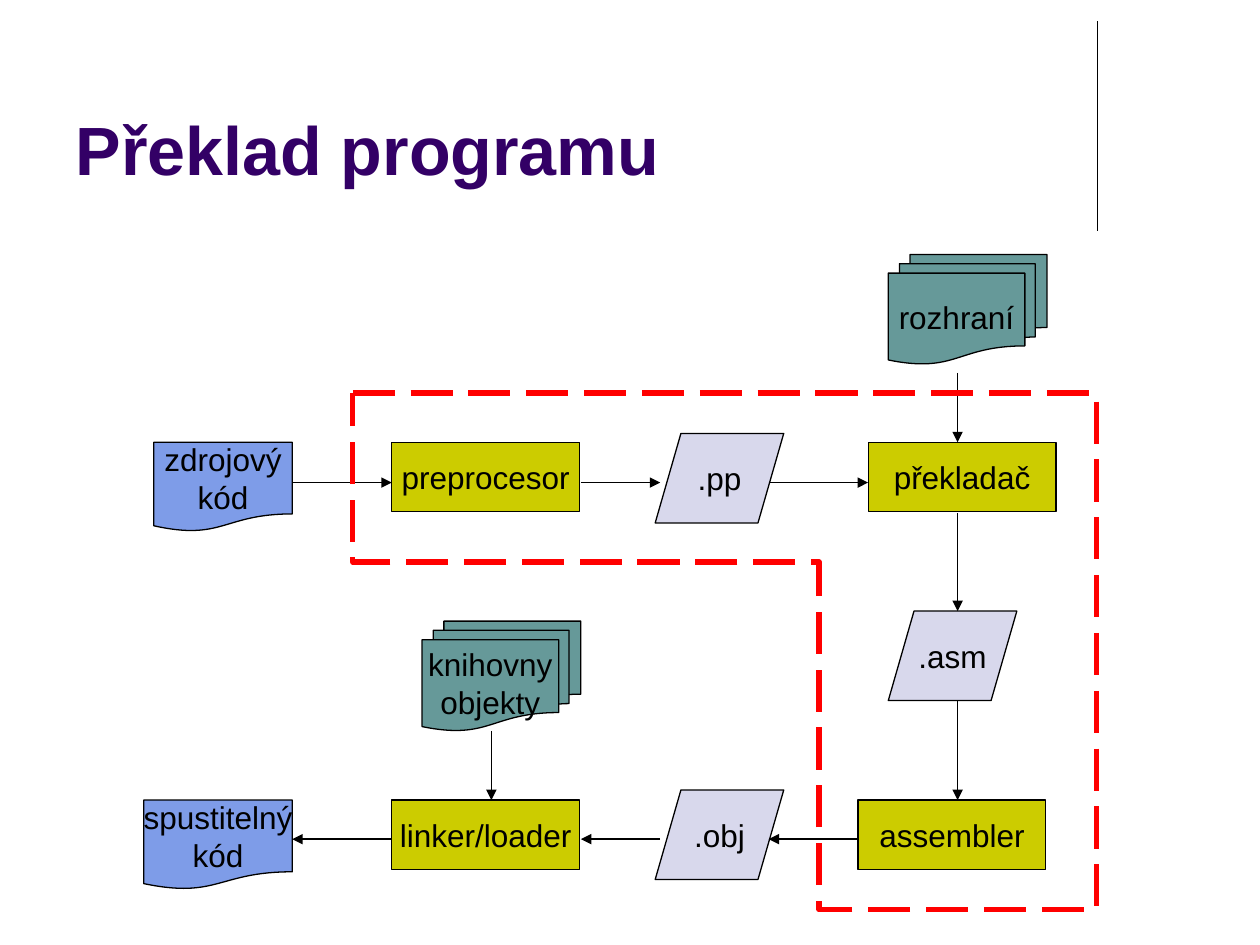
from dataclasses import dataclass

from lxml import etree
from pptx import Presentation
from pptx.dml.color import RGBColor
from pptx.enum.dml import MSO_LINE
from pptx.enum.shapes import MSO_CONNECTOR, MSO_SHAPE
from pptx.enum.text import MSO_ANCHOR, MSO_AUTO_SIZE, PP_ALIGN
from pptx.oxml.ns import qn
from pptx.util import Inches, Pt

RECT = MSO_SHAPE.RECTANGLE
DOC = MSO_SHAPE.FLOWCHART_DOCUMENT
MULTI = MSO_SHAPE.FLOWCHART_MULTIDOCUMENT
DATA = MSO_SHAPE.FLOWCHART_DATA
STRAIGHT = MSO_CONNECTOR.STRAIGHT
LONG_DASH = MSO_LINE.LONG_DASH
MIDDLE, BOTTOM = MSO_ANCHOR.MIDDLE, MSO_ANCHOR.BOTTOM
CENTER, LEFT = PP_ALIGN.CENTER, PP_ALIGN.LEFT
NO_FIT = MSO_AUTO_SIZE.NONE


@dataclass(frozen=True)
class Theme:
    font: str = "Arial"
    title: str = "330066"
    ink: str = "000000"
    tool: str = "CCCC00"
    file: str = "7E9CE8"
    stack: str = "669999"
    data: str = "D8D8EC"
    frame: str = "FF0000"
    head: float = 39
    body: float = 18
    thin: float = 0.75
    thick: float = 3


THEME = Theme()
TOP, LOW = 3.51, 6.35
TOP_MID, LOW_MID = 3.83, 6.66
DOWN = 7.6


def style(frame, size, color, align, bold=False):
    for par in frame.paragraphs:
        par.alignment = align
        for run in par.runs:
            run.font.name = THEME.font
            run.font.size = Pt(size)
            run.font.bold = bold
            run.font.color.rgb = RGBColor.from_string(color)


def stroke(line, color, width):
    line.color.rgb = RGBColor.from_string(color)
    line.width = Pt(width)


def add_title(slide, text):
    title = slide.shapes.title
    title.left, title.top = Inches(0.5), Inches(0.13)
    title.width, title.height = Inches(8.25), Inches(1.42)
    frame = title.text_frame
    frame.text = text
    frame.auto_size = NO_FIT
    frame.vertical_anchor = BOTTOM
    style(frame, THEME.head, THEME.title, LEFT, True)


def add_node(slide, kind, fill, text, x, y, w, h):
    node = slide.shapes.add_shape(kind, Inches(x), Inches(y), Inches(w), Inches(h))
    node.shadow.inherit = False
    node.fill.solid()
    node.fill.fore_color.rgb = RGBColor.from_string(fill)
    stroke(node.line, THEME.ink, THEME.thin)
    frame = node.text_frame
    frame.text = text
    frame.word_wrap = False
    frame.vertical_anchor = MIDDLE
    style(frame, THEME.body, THEME.ink, CENTER)


def add_line(slide, x1, y1, x2, y2, arrow=True):
    line = slide.shapes.add_connector(
        STRAIGHT, Inches(x1), Inches(y1), Inches(x2), Inches(y2))
    stroke(line.line, THEME.ink, THEME.thin)
    if arrow:
        etree.SubElement(line.line._get_or_add_ln(), qn("a:tailEnd"), type="triangle")
    etree.SubElement(line._element.spPr, qn("a:effectLst"))


def add_frame(slide, points):
    start, *rest = [(Inches(x), Inches(y)) for x, y in points]
    path = slide.shapes.build_freeform(*start)
    path.add_line_segments(rest, close=True)
    frame = path.convert_to_shape()
    frame.shadow.inherit = False
    frame.fill.background()
    stroke(frame.line, THEME.frame, THEME.thick)
    frame.line.dash_style = LONG_DASH


def main():
    deck = Presentation()
    deck.slide_width, deck.slide_height = Inches(10), Inches(7.5)
    slide = deck.slides.add_slide(deck.slide_layouts[5])
    add_line(slide, 8.71, 0.17, 8.71, 1.83, arrow=False)
    add_title(slide, "Překlad programu")

    for text, x, y in (("preprocesor", 3.11, TOP), ("překladač", 6.89, TOP),
                       ("assembler", 6.81, LOW), ("linker/loader", 3.11, LOW)):
        add_node(slide, RECT, THEME.tool, text, x, y, 1.49, 0.55)
    for text, x, y in ((".pp", 5.2, 3.44), (".asm", 7.05, 4.85), (".obj", 5.2, 6.27)):
        add_node(slide, DATA, THEME.data, text, x, y, 1.02, 0.71)
    for text, x, y in (("knihovny\vobjekty", 3.35, 4.93), ("rozhraní", 7.05, 2.02)):
        add_node(slide, MULTI, THEME.stack, text, x, y, 1.26, 0.87)
    for text, x, y, w in (("zdrojový\vkód", 1.22, TOP, 1.1),
                          ("spustitelný\vkód", 1.14, LOW, 1.18)):
        add_node(slide, DOC, THEME.file, text, x, y, w, 0.71)

    for x1, x2 in ((2.32, 3.11), (4.61, 5.24), (6.1, 6.89)):
        add_line(slide, x1, TOP_MID, x2, TOP_MID)
    for x1, x2 in ((6.81, 6.1), (5.24, 4.61), (3.11, 2.32)):
        add_line(slide, x1, LOW_MID, x2, LOW_MID)
    for x, y1, y2 in ((DOWN, 2.96, TOP), (DOWN, 4.07, 4.85),
                      (DOWN, 5.56, LOW), (3.9, 5.8, LOW)):
        add_line(slide, x, y1, x, y2)

    add_frame(slide, ((2.8, 3.12), (8.7, 3.12), (8.7, 7.22),
                      (6.5, 7.22), (6.5, 4.46), (2.8, 4.46)))
    deck.save("out.pptx")


if __name__ == "__main__":
    main()
